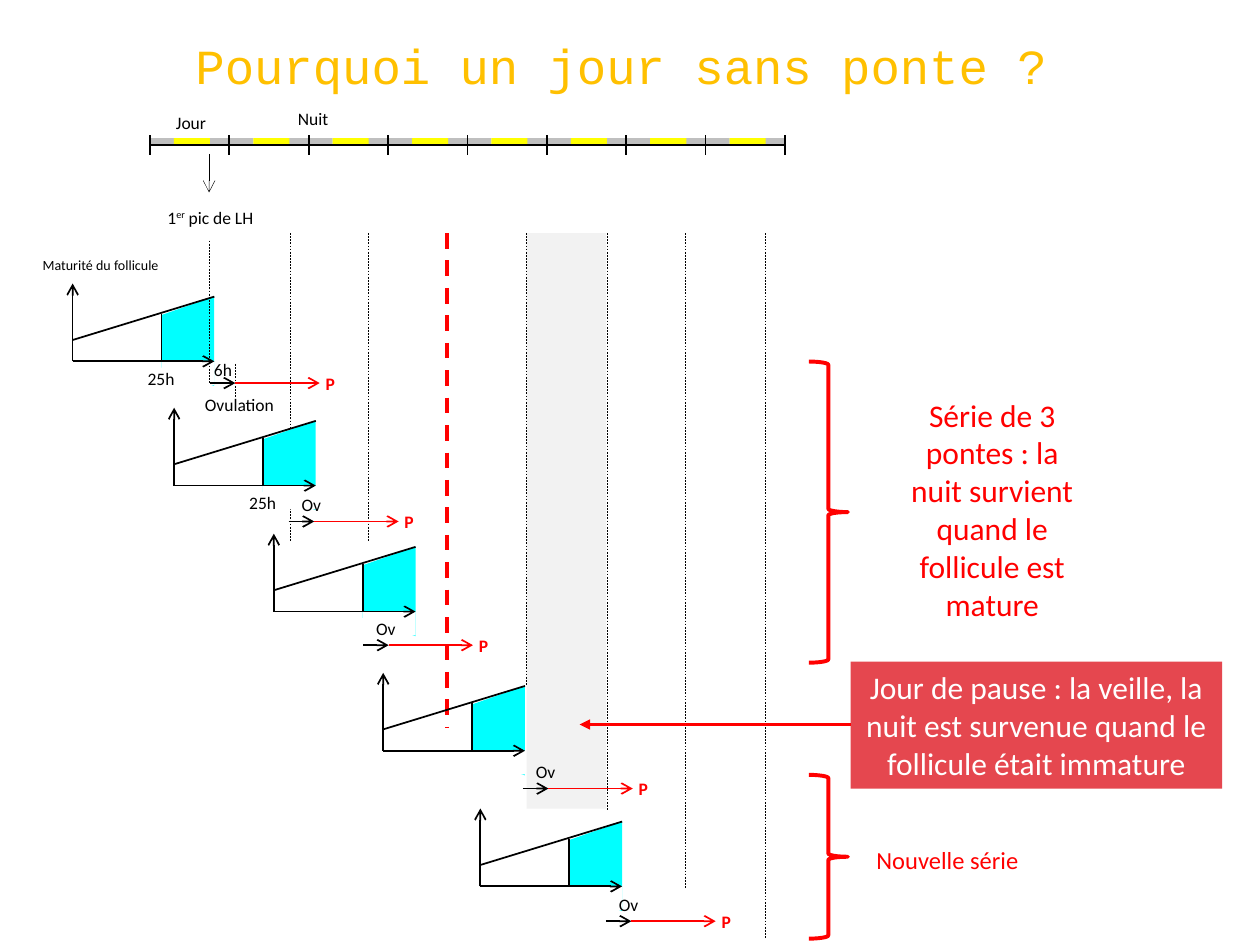
from lxml.etree import SubElement
from pptx import Presentation
from pptx.dml.color import RGBColor
from pptx.enum.dml import MSO_LINE
from pptx.enum.shapes import MSO_CONNECTOR, MSO_SHAPE
from pptx.enum.text import MSO_ANCHOR, MSO_AUTO_SIZE, PP_ALIGN
from pptx.oxml.ns import qn
from pptx.util import Pt

BLACK, WHITE, RED = "000000", "FFFFFF", "FF0000"
NIGHT, DAY, MATURE = "BFBFBF", "FFFF00", "00FFFF"

# Origin of each follicle graph, with its label under the axis
FOLLICLES = [(41.5, 206.5, "25h"), (99.5, 277.5, "25h"), (156.5, 349.5, ""),
             (219, 429, ""), (274.5, 506.5, "")]
# Start of each ovulation arrow, with its label (the first is labelled apart)
LAYINGS = [(119.9, 218.9, ""), (165, 298, "Ov"), (207.5, 368.7, "Ov"),
           (298.8, 450.6, "Ov"), (346.2, 526.4, "Ov")]
# Vertical time marks: x, top, bottom
TIME_MARKS = [(119.5, 137.5, 218.9), (134.6, 208, 227), (165.6, 133.2, 308.9),
              (210.2, 133.2, 308.9), (301, 133.2, 391.7), (347, 133.2, 463),
              (391.7, 133.2, 507.6), (437, 133.2, 536.4)]


def color(value):
    return RGBColor.from_string(value)


def add_block(slide, kind, left, top, width, height, fill=None, line=None):
    shape = slide.shapes.add_shape(kind, Pt(left), Pt(top), Pt(width), Pt(height))
    shape.shadow.inherit = False
    if fill:
        shape.fill.solid()
        shape.fill.fore_color.rgb = color(fill)
    else:
        shape.fill.background()
    if line:
        shape.line.color.rgb = color(line)
        shape.line.width = Pt(2.25)
    else:
        shape.line.fill.background()
    return shape


def add_line(slide, start, end, stroke=BLACK, width=1, head=None, dashed=False):
    connector = slide.shapes.add_connector(
        MSO_CONNECTOR.STRAIGHT, Pt(start[0]), Pt(start[1]), Pt(end[0]), Pt(end[1]))
    connector.line.color.rgb = color(stroke)
    connector.line.width = Pt(width)
    if dashed:
        connector.line.dash_style = MSO_LINE.DASH
    properties = connector._element.spPr
    if head:
        SubElement(properties.find(qn("a:ln")), qn("a:tailEnd"), type=head)
    SubElement(properties, qn("a:effectLst"))


def write(shape, text, size, fill, align=PP_ALIGN.CENTER, font="Calibri", bold=False):
    frame = shape.text_frame
    frame.word_wrap = True
    frame.text = text
    paragraph = frame.paragraphs[0]
    paragraph.alignment = align
    for run in paragraph.runs:
        format_run(run, size, fill, font, bold)
    return paragraph


def format_run(run, size, fill, font="Calibri", bold=False):
    run.font.size = Pt(size)
    run.font.name = font
    run.font.bold = bold
    run.font.color.rgb = color(fill)


def add_label(slide, text, left, top, width, height=19.4, size=10, fill=BLACK, **style):
    box = slide.shapes.add_textbox(Pt(left), Pt(top), Pt(width), Pt(height))
    paragraph = write(box, text, size, fill, **style)
    box.text_frame.auto_size = MSO_AUTO_SIZE.SHAPE_TO_FIT_TEXT
    return paragraph


def add_title(slide, text):
    box = slide.shapes.add_textbox(Pt(31), Pt(9.4), Pt(648), Pt(55.4))
    write(box, text, 28, "FFC000", font="Courier New")
    box.text_frame.vertical_anchor = MSO_ANCHOR.MIDDLE


def add_timeline(slide, left=85.7, days=8, pitch=45.36):
    for day in range(days):
        start = left + day * pitch
        for offset, width, fill in [(0, 13.7, NIGHT), (33.8, 11.5, NIGHT), (13.7, 20.6, DAY)]:
            add_block(slide, MSO_SHAPE.RECTANGLE, start + offset, 79, width, 3.8, fill)
        add_line(slide, (start, 82.8), (start + pitch, 82.8))
    for tick in range(days + 1):
        x = left + tick * pitch
        add_line(slide, (x, 77.4), (x, 88.8))


def add_follicle(slide, x, y, label):
    # Mature zone, its lower part hidden below the axis
    zone = add_block(slide, MSO_SHAPE.TRAPEZOID, x + 40.3, y - 26.6, 51.1, 30.2, MATURE)
    zone.adjustments[0] = 0.35
    zone.rotation = 270
    add_block(slide, MSO_SHAPE.RECTANGLE, x + 50.7, y, 30.3, 13.6, WHITE)
    # Growth line, maturity threshold and axes
    add_line(slide, (x, y - 12.2), (x + 81, y - 37))
    add_line(slide, (x + 50.8, y - 27), (x + 50.8, y))
    add_line(slide, (x, y), (x, y - 44.5), head="arrow")
    add_line(slide, (x, y), (x + 81, y), head="arrow")
    if label:
        add_label(slide, label, x + 5.2, y, 90.7, 13.6)


def add_laying(slide, x, y, label):
    add_line(slide, (x, y), (x + 14.6, y), head="arrow")
    add_line(slide, (x + 14.6, y), (x + 62.8, y), RED, head="arrow")
    add_label(slide, "P", x + 51.9, y - 9.5, 33.8, fill=RED, bold=True)
    if label:
        add_label(slide, label, x + 0.3, y - 19.2, 32.4, align=PP_ALIGN.LEFT)


def add_lh_peak(slide):
    add_line(slide, (119.5, 88), (119.5, 110), width=0.25, head="arrow")
    paragraph = add_label(slide, "1", 66.2, 114.5, 108)
    for text in ["er", " pic de LH"]:
        run = paragraph.add_run()
        run.text = text
        format_run(run, 10, BLACK)
    paragraph.runs[1]._r.get_or_add_rPr().set("baseline", "30000")


def add_comments(slide):
    for top, height in [(206.6, 172.1), (442.8, 93.6)]:
        add_block(slide, MSO_SHAPE.RIGHT_BRACE, 462.2, top, 22.3, height, line=RED)
    add_label(slide, "Série de 3 pontes : la nuit survient quand le follicule est mature",
              507.6, 222.5, 118.8, 138.2, size=18, fill=RED)
    add_label(slide, "Nouvelle série", 490.3, 479.5, 102.2, 24.5, size=14, fill=RED)
    pause = add_block(slide, MSO_SHAPE.RECTANGLE, 486, 378, 212.4, 72.7, "E5474F")
    write(pause, "Jour de pause : la veille, la nuit est survenue quand le follicule était immature",
          18, WHITE)
    add_line(slide, (486, 414), (331.2, 414), RED, 1.5, head="triangle")


def main():
    presentation = Presentation()
    presentation.slide_width, presentation.slide_height = Pt(720), Pt(540)
    slide = presentation.slides.add_slide(presentation.slide_layouts[6])

    # Rest day band, title and day/night scale
    add_block(slide, MSO_SHAPE.RECTANGLE, 301, 133.2, 45.4, 329, "F2F2F2")
    add_title(slide, "Pourquoi un jour sans ponte ?")
    add_timeline(slide)
    add_label(slide, "Jour", 89.3, 60.5, 39.6)
    add_label(slide, "Nuit", 159.1, 58.3, 39.6)
    add_lh_peak(slide)

    # First follicle, under the time marks
    add_follicle(slide, *FOLLICLES[0])
    add_label(slide, "Maturité du follicule", 17.3, 143.3, 89.3, 17.3, size=8,
              align=PP_ALIGN.LEFT)
    for x, top, bottom in TIME_MARKS:
        add_line(slide, (x, top), (x, bottom), width=0.25, dashed=True)
    add_line(slide, (255.6, 133.2), (255.6, 415.4), RED, 2.25, dashed=True)

    # Following follicles, then ovulations and layings
    for follicle in FOLLICLES[1:]:
        add_follicle(slide, *follicle)
    for laying in LAYINGS:
        add_laying(slide, *laying)
    add_label(slide, "6h", 101.5, 201.6, 51.8)
    add_label(slide, "Ovulation", 82.8, 221.8, 108)

    add_comments(slide)
    presentation.save("out.pptx")


if __name__ == "__main__":
    main()
